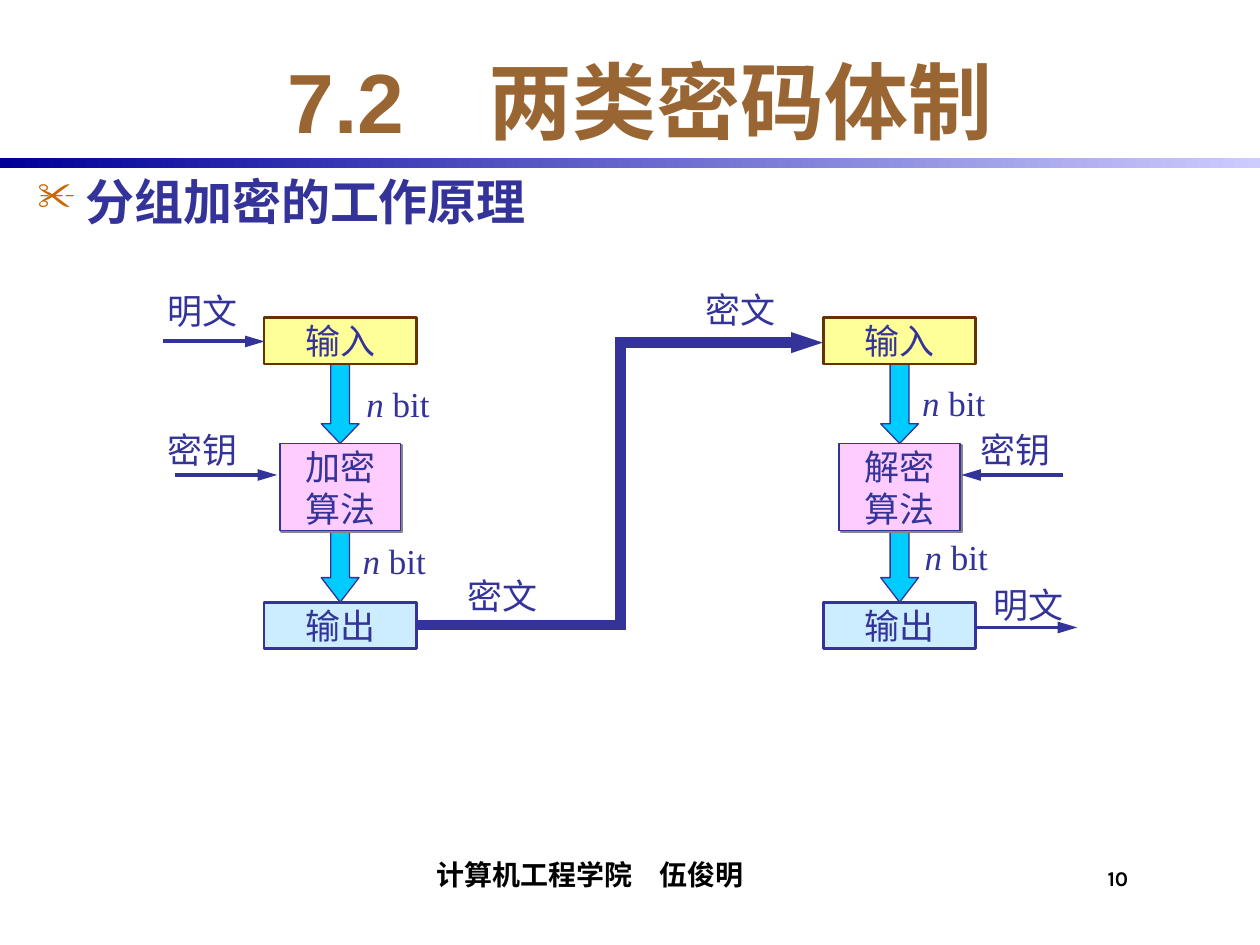
from lxml import etree
from pptx import Presentation
from pptx.dml.color import RGBColor
from pptx.enum.shapes import MSO_CONNECTOR, MSO_SHAPE
from pptx.enum.text import MSO_ANCHOR, PP_ALIGN
from pptx.oxml.ns import qn
from pptx.util import Inches, Pt

RECTANGLE, DOWN_ARROW = MSO_SHAPE.RECTANGLE, MSO_SHAPE.DOWN_ARROW
STRAIGHT, ELBOW = MSO_CONNECTOR.STRAIGHT, MSO_CONNECTOR.ELBOW
LEFT, CENTER, JUSTIFY = PP_ALIGN.LEFT, PP_ALIGN.CENTER, PP_ALIGN.JUSTIFY
TOP, MIDDLE, BOTTOM = MSO_ANCHOR.TOP, MSO_ANCHOR.MIDDLE, MSO_ANCHOR.BOTTOM

THEME = {
    "ink": "333399", "title": "996633", "footer": "000000", "bullet": "CC6600",
    "input": "FFFF99", "input_line": "663300", "output": "CCECFF",
    "algorithm": "FFCCFF", "flow": "00CCFF", "shadow": "868686",
    "bar": ("000099", "CCCCFF"),
    "heading_font": "Arial", "diagram_font": "Times New Roman", "footer_font": "Karla",
    "title_size": 48, "heading_size": 28, "diagram_size": 20,
    "footer_size": 16, "number_size": 12,
}

# Content
TITLE = "7.2\u3000两类密码体制"
HEADING = "分组加密的工作原理"
FOOTER, PAGE_NUMBER = "计算机工程学院\u3000伍俊明", "10"
N_BIT = (("n", True), (" bit", False))

# Diagram grid: a centre line per column, (top, height) per row
COLUMNS = {2.7: ["加密", "算法"], 7.14: ["解密", "算法"]}
INPUT_ROW, ALGORITHM_ROW, OUTPUT_ROW = (2.52, 0.37), (3.52, 0.69), (4.78, 0.37)
BOX_WIDTH, ALGORITHM_WIDTH, FLOW_WIDTH = 1.21, 0.96, 0.3
LABEL_SIZE = (0.9, 0.44)

# (text, left, top)
LABELS = [
    ("明文", 1.23, 2.25), ("密钥", 1.23, 3.35), (N_BIT, 2.81, 2.99), (N_BIT, 2.78, 4.23),
    ("密文", 3.61, 4.51), ("密文", 5.5, 2.24), (N_BIT, 7.22, 2.98), (N_BIT, 7.24, 4.2),
    ("密钥", 7.68, 3.35), ("明文", 7.79, 4.58),
]
# (start, end) of the thin arrows
ARROWS = [
    ((1.29, 2.71), (2.1, 2.71)), ((1.39, 3.77), (2.2, 3.77)),
    ((8.44, 3.77), (7.63, 3.77)), ((7.74, 4.98), (8.55, 4.98)),
]
CIPHERTEXT_PATH = ((3.32, 4.96), (6.53, 2.72))


def color(value):
    return RGBColor.from_string(value)


def add_element(parent, tag, **attributes):
    return etree.SubElement(parent, qn(tag), attributes)


def write(shape, lines, *, size=THEME["diagram_size"], font=THEME["diagram_font"],
          ink=THEME["ink"], bold=False, align=LEFT, anchor=TOP, wrap=True,
          insets=(0.1, 0.05, 0.1, 0.05), bullet=None):
    """Fill a shape; a line is a string or a tuple of (text, italic) runs."""
    frame = shape.text_frame
    frame.word_wrap, frame.vertical_anchor = wrap, anchor
    (frame.margin_left, frame.margin_top,
     frame.margin_right, frame.margin_bottom) = map(Inches, insets)
    for index, line in enumerate(lines):
        paragraph = frame.add_paragraph() if index else frame.paragraphs[0]
        paragraph.alignment = align
        if bullet:
            properties = paragraph._p.get_or_add_pPr()
            indent = Inches(0.38)
            properties.set("marL", str(indent))
            properties.set("indent", str(-indent))
            add_element(add_element(properties, "a:buClr"), "a:srgbClr", val=THEME["bullet"])
            add_element(properties, "a:buSzPct", val="80000")
            add_element(properties, "a:buChar", char=bullet)
        for text, italic in ([(line, False)] if isinstance(line, str) else line):
            run = paragraph.add_run()
            run.text = text
            run.font.name, run.font.size = font, Pt(size)
            run.font.bold, run.font.italic = bold, italic
            run.font.color.rgb = color(ink)


def add_text(slide, box, lines, **text_format):
    write(slide.shapes.add_textbox(*map(Inches, box)), lines, **text_format)


def add_block(slide, kind, center, row, width, fill, line=THEME["ink"], line_width=1.5):
    top, height = row
    shape = slide.shapes.add_shape(
        kind, *map(Inches, (center - width / 2, top, width, height)))
    shape.shadow.inherit = False
    shape.fill.solid()
    shape.fill.fore_color.rgb = color(fill)
    shape.line.color.rgb, shape.line.width = color(line), Pt(line_width)
    return shape


def add_flow(slide, center, upper_row, lower_row, head):
    top = sum(upper_row)
    row = (top, lower_row[0] - top)
    arrow = add_block(slide, DOWN_ARROW, center, row, FLOW_WIDTH, THEME["flow"], line_width=0.75)
    arrow.adjustments[0], arrow.adjustments[1] = 0.5, head


def add_arrow(slide, kind, start, end, width, head_width, head_length):
    connector = slide.shapes.add_connector(kind, *map(Inches, (*start, *end)))
    connector.line.color.rgb, connector.line.width = color(THEME["ink"]), Pt(width)
    outline = connector.line._get_or_add_ln()
    add_element(outline, "a:miter", lim="800000")
    add_element(outline, "a:tailEnd", type="triangle", w=head_width, len=head_length)
    add_element(connector._element.spPr, "a:effectLst")


def add_shadow(shape):
    effects = shape._element.spPr.find(qn("a:effectLst"))
    shadow = add_element(effects, "a:outerShdw", dist=str(Pt(1.4)), dir="2700000",
                         algn="ctr", rotWithShape="0")
    add_element(shadow, "a:srgbClr", val=THEME["shadow"])


def add_frame(slide):
    # Gradient bar under the title
    bar = add_block(slide, RECTANGLE, 5, (1.25, 0.08), 10, THEME["bar"][0])
    bar.line.fill.background()
    bar.fill.gradient()
    bar.fill.gradient_angle = 0
    for stop, value, position in zip(bar.fill.gradient_stops, THEME["bar"], (0, 1)):
        stop.color.rgb, stop.position = color(value), position

    # Title, heading and footer
    add_text(slide, (0.83, 0.33, 8.5, 0.92), [TITLE], size=THEME["title_size"],
             font=THEME["heading_font"], ink=THEME["title"], bold=True,
             align=CENTER, anchor=MIDDLE)
    add_text(slide, (0.2, 1.31, 9.8, 0.64), [HEADING], size=THEME["heading_size"],
             font=THEME["heading_font"], bold=True, align=JUSTIFY, bullet="✂")
    footer = {"font": THEME["footer_font"], "ink": THEME["footer"], "bold": True}
    add_text(slide, (2.08, 6.69, 5.17, 0.42), [FOOTER], size=THEME["footer_size"],
             align=CENTER, anchor=BOTTOM, insets=(0.04, 0, 0, 0.04), **footer)
    add_text(slide, (8.75, 6.83, 0.58, 0.42), [PAGE_NUMBER], size=THEME["number_size"],
             insets=(0.04, 0.04, 0, 0), **footer)


def add_diagram(slide):
    # Two columns: input, algorithm, output
    for center, algorithm in COLUMNS.items():
        add_flow(slide, center, INPUT_ROW, ALGORITHM_ROW, 0.52)
        add_flow(slide, center, ALGORITHM_ROW, OUTPUT_ROW, 0.65)
        blocks = [
            (["输入"], INPUT_ROW, BOX_WIDTH, THEME["input"], THEME["input_line"], 1.5),
            (algorithm, ALGORITHM_ROW, ALGORITHM_WIDTH, THEME["algorithm"], THEME["ink"], 1),
            (["输出"], OUTPUT_ROW, BOX_WIDTH, THEME["output"], THEME["ink"], 1.5),
        ]
        for lines, row, *style in blocks:
            block = add_block(slide, RECTANGLE, center, row, *style)
            write(block, lines, align=CENTER, anchor=MIDDLE, wrap=False)
            if row == ALGORITHM_ROW:
                add_shadow(block)

    # Arrows and their labels
    for start, end in ARROWS:
        add_arrow(slide, STRAIGHT, start, end, 2.25, "med", "lg")
    add_arrow(slide, ELBOW, *CIPHERTEXT_PATH, 6, "sm", "med")
    for text, left, top in LABELS:
        add_text(slide, (left, top, *LABEL_SIZE), [text])


def main():
    presentation = Presentation()
    presentation.slide_width, presentation.slide_height = Inches(10), Inches(7.5)
    slide = presentation.slides.add_slide(presentation.slide_layouts[6])
    add_frame(slide)
    add_diagram(slide)
    presentation.save("out.pptx")


if __name__ == "__main__":
    main()
